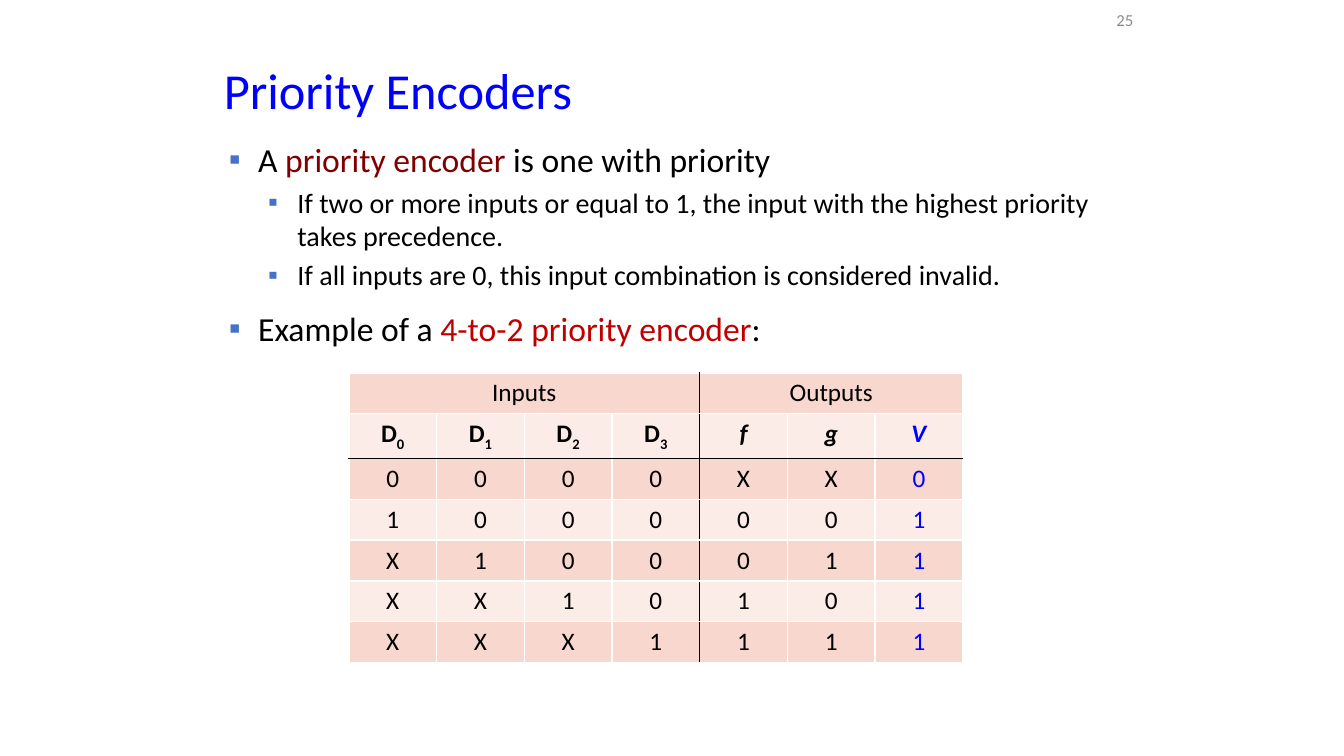
import lxml.etree
import pptx
import pptx.dml.color
import pptx.enum.text
import pptx.oxml
import pptx.oxml.ns
import pptx.util

RGBColor = pptx.dml.color.RGBColor
BLUE = RGBColor(0x00, 0x00, 0xFF)
BLACK = RGBColor(0x00, 0x00, 0x00)
WHITE = RGBColor(0xFF, 0xFF, 0xFF)
GREY = RGBColor(0x8C, 0x8C, 0x8C)
MAROON = RGBColor(0x80, 0x00, 0x00)
RED = RGBColor(0xC0, 0x00, 0x00)
BULLET_BLUE = RGBColor(0x44, 0x72, 0xC4)
BAND_DARK = RGBColor(0xF8, 0xD7, 0xCE)
BAND_LIGHT = RGBColor(0xFC, 0xEC, 0xE8)

FONT = "Calibri"
ALIGN = pptx.enum.text.PP_ALIGN
MIDDLE = pptx.enum.text.MSO_ANCHOR.MIDDLE
SLIDE_SIZE = (pptx.util.Inches(13.33), pptx.util.Inches(7.5))

TITLE_BOX = (15.9, 7.6, 69.09, 9.33)
NUMBER_BOX = (77.94, 0.27, 7.13, 4.8)
BODY_BOX = (16.28, 17.73, 65.64, 30.8)
TABLE_BOX = (25.96, 49.33, 45.69, 37.87)

BULLETS = [
    (0, 0, [("A ", BLACK), ("priority encoder ", MAROON), ("is one with priority", BLACK)]),
    (1, 4, [("If two or more inputs or equal to 1, the input with the highest "
             "priority takes precedence.", BLACK)]),
    (1, 4, [("If all inputs are 0, this input combination is considered invalid.", BLACK)]),
    (0, 12, [("Example of a ", BLACK), ("4-to-2 priority encoder", RED), (":", BLACK)]),
]
LEVELS = [(24, 0.29), (20, 0.68)]
HANGING = 0.29

GROUPS = [("Inputs", 0, 3), ("Outputs", 4, 6)]
HEADINGS = ["D0", "D1", "D2", "D3", "f", "g", "V"]
TRUTH_ROWS = ["0000XX0", "1000001", "X100011", "XX10101", "XXX1111"]
LAST_INPUT = 3
HEADING_ROW = 1


def to_lengths(box):
    """Turn percentages of the slide's size into left, top, width and height."""
    return [int(SLIDE_SIZE[i % 2] * share / 100) for i, share in enumerate(box)]


def move(shape, box):
    """Put a shape in a box."""
    shape.left, shape.top, shape.width, shape.height = to_lengths(box)


def set_font(font, size, color):
    """Set the font's name, size and colour."""
    font.name = FONT
    font.size = pptx.util.Pt(size)
    font.color.rgb = color


def set_bullet(para, indent):
    """Give a paragraph a square bullet with a hanging indent."""
    properties = para._p.get_or_add_pPr()
    properties.set("marL", str(pptx.util.Inches(indent)))
    properties.set("indent", str(-pptx.util.Inches(HANGING)))
    color = lxml.etree.SubElement(properties, pptx.oxml.ns.qn("a:buClr"))
    lxml.etree.SubElement(color, pptx.oxml.ns.qn("a:srgbClr"), val=str(BULLET_BLUE))
    lxml.etree.SubElement(properties, pptx.oxml.ns.qn("a:buChar"), char="▪")


def set_border(cell, side, color):
    """Draw one side of a cell."""
    line = lxml.etree.SubElement(
        cell._tc.get_or_add_tcPr(), pptx.oxml.ns.qn("a:ln" + side), w=str(pptx.util.Pt(1)))
    fill = lxml.etree.SubElement(line, pptx.oxml.ns.qn("a:solidFill"))
    lxml.etree.SubElement(fill, pptx.oxml.ns.qn("a:srgbClr"), val=str(color))


def add_title(page, box):
    """Fill the title placeholder."""
    title = page.shapes.title
    move(title, box)
    frame = title.text_frame
    frame.auto_size = pptx.enum.text.MSO_AUTO_SIZE.NONE
    frame.vertical_anchor = MIDDLE
    para = frame.paragraphs[0]
    para.text = "Priority Encoders"
    para.alignment = ALIGN.LEFT
    para.line_spacing = 0.9
    set_font(para.font, 36, BLUE)


def add_number(page, box):
    """Write the page number."""
    frame = page.shapes.add_textbox(*to_lengths(box)).text_frame
    frame.word_wrap = True
    frame.vertical_anchor = MIDDLE
    para = frame.paragraphs[0]
    para.text = "25"
    para.alignment = ALIGN.RIGHT
    set_font(para.font, 12, GREY)


def add_body(page, box):
    """Fill the body placeholder with the bullet list."""
    body = page.placeholders[1]
    move(body, box)
    frame = body.text_frame
    frame.auto_size = pptx.enum.text.MSO_AUTO_SIZE.NONE
    for index, (level, space, spans) in enumerate(BULLETS):
        para = frame.add_paragraph() if index else frame.paragraphs[0]
        size, indent = LEVELS[level]
        para.level = level
        set_bullet(para, indent)
        para.space_before = pptx.util.Pt(space)
        set_font(para.font, size, BLACK)
        for text, color in spans:
            span = para.add_run()
            span.text = text
            set_font(span.font, size, color)


def fill_heading(para, heading):
    """Write a column heading, its digit as a subscript."""
    letter, digit = heading[0], heading[1:]
    para.add_run().text = letter
    if digit:
        span = para.add_run()
        span.text = digit
        span._r.get_or_add_rPr().set("baseline", "-25000")
    para.font.bold = True
    para.font.italic = not digit


def style_cell(cell, row, column):
    """Draw the borders and the band colour of a cell."""
    last_column = column + cell.span_width - 1 if cell.is_merge_origin else column
    set_border(cell, "L", BLACK if column == LAST_INPUT + 1 else WHITE)
    set_border(cell, "R", BLACK if last_column == LAST_INPUT else WHITE)
    set_border(cell, "T", BLACK if row == HEADING_ROW + 1 else WHITE)
    set_border(cell, "B", BLACK if row == HEADING_ROW else WHITE)
    cell.fill.solid()
    cell.fill.fore_color.rgb = BAND_LIGHT if row % 2 else BAND_DARK


def add_truth_table(page, box):
    """Add the truth table of the encoder."""
    row_count, column_count = len(TRUTH_ROWS) + 2, len(HEADINGS)
    table = page.shapes.add_table(row_count, column_count, *to_lengths(box)).table
    table.first_row = table.horz_banding = False
    groups = {first: name for name, first, last in GROUPS}
    for name, first, last in GROUPS:
        table.cell(0, first).merge(table.cell(0, last))
    for row in range(row_count):
        for column in range(column_count):
            cell = table.cell(row, column)
            if cell.is_spanned:
                continue
            style_cell(cell, row, column)
            para = cell.text_frame.paragraphs[0]
            para.alignment = ALIGN.CENTER
            is_valid_column = column == column_count - 1
            set_font(para.font, 18, BLUE if is_valid_column else BLACK)
            if row == 0:
                para.text = groups[column]
            elif row == HEADING_ROW:
                fill_heading(para, HEADINGS[column])
            else:
                para.text = TRUTH_ROWS[row - 2][column]


def main():
    """Build the deck."""
    deck = pptx.Presentation()
    deck.slide_width, deck.slide_height = SLIDE_SIZE
    page = deck.slides.add_slide(deck.slide_layouts[1])
    add_title(page, TITLE_BOX)
    add_number(page, NUMBER_BOX)
    add_body(page, BODY_BOX)
    add_truth_table(page, TABLE_BOX)
    deck.save("out.pptx")


if __name__ == "__main__":
    main()
